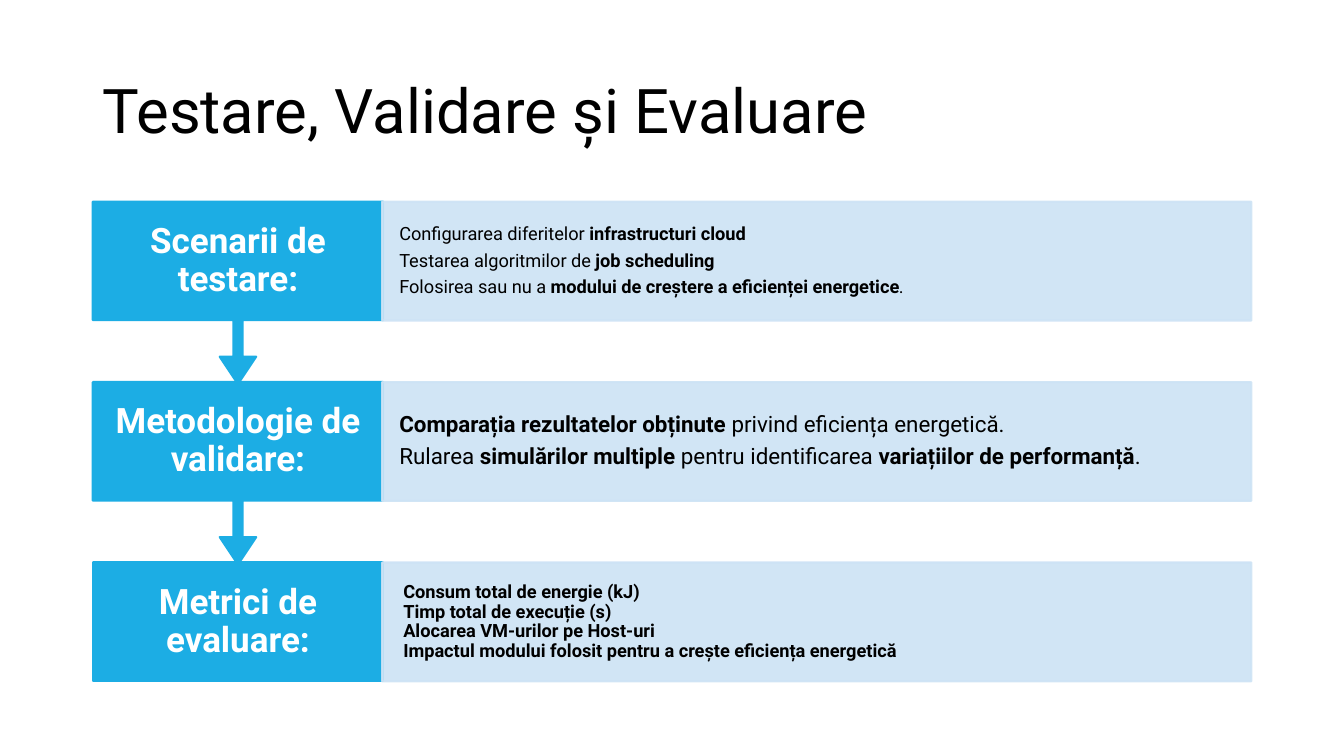
from lxml import etree
from pptx import Presentation
from pptx.dml.color import RGBColor
from pptx.enum.shapes import MSO_SHAPE
from pptx.enum.text import MSO_ANCHOR, PP_ALIGN
from pptx.oxml.ns import qn
from pptx.util import Inches, Pt

BLUE = RGBColor(0x1C, 0xAD, 0xE4)
PALE = RGBColor(0xCD, 0xE3, 0xF5)
BLACK = RGBColor(0, 0, 0)
WHITE = RGBColor(0xFF, 0xFF, 0xFF)
FONT = "Roboto"

LEFT, TOP, PITCH = 0.92, 2.0, 1.79
STAGE_W, DETAIL_W, BOX_H, CALLOUT_H = 2.88, 8.62, 1.18, 1.81

# Stage, text size, space after as a share of the size, left inset, lines of (text, bold)
STAGES = [
    ("Scenarii de testare:", 13, 0.37, 0.17, [
        [("Configurarea diferitelor ", False), ("infrastructuri cloud", True)],
        [("Testarea algoritmilor de ", False), ("job scheduling", True)],
        [("Folosirea sau nu a ", False),
         ("modului de creștere a eficienței energetice", True), (".", False)],
    ]),
    ("Metodologie de validare:", 16, 0.37, 0.17, [
        [("Comparația rezultatelor obținute ", True),
         ("privind eficiența energetică.", False)],
        [("Rularea ", False), ("simulărilor multiple ", True),
         ("pentru identificarea ", False),
         ("variațiilor de performanță", True), (".", False)],
    ]),
    ("Metrici de evaluare:", 13, 0, 0.21, [
        [("Consum total de energie (kJ)", True)],
        [("Timp total de execuție (s)", True)],
        [("Alocarea VM-urilor pe Host-uri", True)],
        [("Impactul modului folosit pentru a crește eficiența energetică", True)],
    ]),
]


def add_box(preset, left, top, width, height, color, inset_x, inset_y):
    box = slide.shapes.add_shape(preset, Inches(left), Inches(top),
                                 Inches(width), Inches(height))
    box.shadow.inherit = False
    box.fill.solid()
    box.fill.fore_color.rgb = color
    box.line.color.rgb = color
    box.line.width = Pt(1.5)
    frame = box.text_frame
    frame.word_wrap = True
    frame.vertical_anchor = MSO_ANCHOR.MIDDLE
    frame.margin_left = frame.margin_right = Inches(inset_x)
    frame.margin_top = frame.margin_bottom = Inches(inset_y)
    return box


def style(paragraph, size, color, align=PP_ALIGN.LEFT):
    paragraph.alignment = align
    paragraph.line_spacing = 0.9
    paragraph.font.name = FONT
    paragraph.font.size = Pt(size)
    paragraph.font.color.rgb = color


prs = Presentation()
prs.slide_width, prs.slide_height = Inches(13.33), Inches(7.5)
slide = prs.slides.add_slide(prs.slide_layouts[6])

title = slide.shapes.add_textbox(Inches(LEFT), Inches(0.4), Inches(11.5), Inches(1.45))
title.text_frame.word_wrap = True
title.text_frame.vertical_anchor = MSO_ANCHOR.MIDDLE
heading = title.text_frame.paragraphs[0]
heading.text = "Testare, Validare și Evaluare"
style(heading, 44, BLACK)

for row, (name, size, gap, inset, lines) in enumerate(STAGES):
    top = TOP + row * PITCH
    if row < len(STAGES) - 1:
        stage = add_box(MSO_SHAPE.DOWN_ARROW_CALLOUT, LEFT, top, STAGE_W, CALLOUT_H,
                        BLUE, 0.2, 0.19)
        for index, value in enumerate((0.05, 0.1, 0.15, 0.65)):
            stage.adjustments[index] = value
    else:
        stage = add_box(MSO_SHAPE.RECTANGLE, LEFT, top, STAGE_W, BOX_H, BLUE, 0.2, 0.19)
    label = stage.text_frame.paragraphs[0]
    label.text = name
    style(label, 25, WHITE, PP_ALIGN.CENTER)
    label.font.bold = True

    detail = add_box(MSO_SHAPE.RECTANGLE, LEFT + STAGE_W - 0.01, top, DETAIL_W, BOX_H,
                     PALE, 0.17, 0.18)
    detail.text_frame.margin_left = Inches(inset)
    for color in detail.element.spPr.iter(qn("a:srgbClr")):
        etree.SubElement(color, qn("a:alpha"), val="90000")
    for index, line in enumerate(lines):
        frame = detail.text_frame
        paragraph = frame.add_paragraph() if index else frame.paragraphs[0]
        style(paragraph, size, BLACK)
        paragraph.space_after = Pt(size * gap)
        for words, bold in line:
            run = paragraph.add_run()
            run.text = words
            run.font.bold = bold

prs.save("out.pptx")
